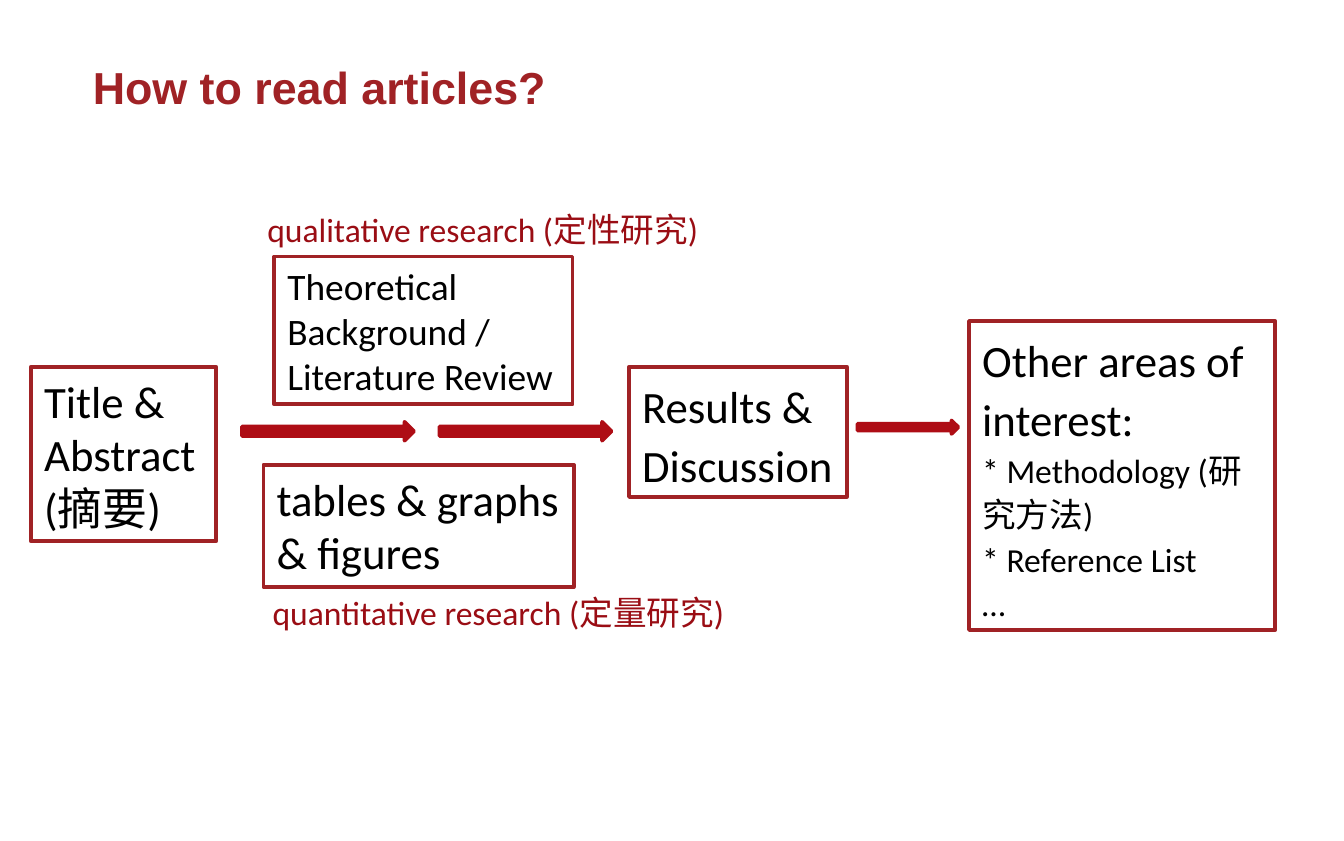
"""Build a slide that shows the order in which to read a research article."""

from dataclasses import dataclass
from typing import Any

from pptx import Presentation
from pptx.dml.color import RGBColor
from pptx.enum.shapes import MSO_SHAPE
from pptx.enum.text import MSO_ANCHOR, MSO_AUTO_SIZE, PP_ALIGN
from pptx.util import Inches, Pt

RECTANGLE = MSO_SHAPE.RECTANGLE
RIGHT_ARROW = MSO_SHAPE.RIGHT_ARROW
TOP, MIDDLE = MSO_ANCHOR.TOP, MSO_ANCHOR.MIDDLE
GROW, FIXED = MSO_AUTO_SIZE.SHAPE_TO_FIT_TEXT, MSO_AUTO_SIZE.NONE
LEFT = PP_ALIGN.LEFT
TITLE_ONLY = 5

BLACK, WHITE = "000000", "FFFFFF"
BORDER_RED, LABEL_RED, ARROW_RED = "A02225", "9A0D14", "AE0D15"

BODY_FRAME = {"word_wrap": True, "auto_size": GROW, "vertical_anchor": TOP}
TITLE_FRAME = {"word_wrap": True, "auto_size": FIXED, "vertical_anchor": MIDDLE}


@dataclass(frozen=True)
class Area:
    left: float
    top: float
    width: float
    height: float

    def lengths(self) -> list[int]:
        return [Inches(n) for n in (self.left, self.top, self.width, self.height)]


@dataclass(frozen=True)
class Line:
    text: str
    size: int


@dataclass(frozen=True)
class Step:
    area: Area
    lines: tuple[Line, ...]
    spacing: float = 1.0


@dataclass(frozen=True)
class Label:
    area: Area
    line: Line


STEPS = (
    Step(Area(0.23, 2.73, 1.38, 1.3), (Line("Title & Abstract (摘要)", 24),)),
    Step(
        Area(2.04, 1.91, 2.22, 1.1),
        (Line("Theoretical Background / Literature Review", 20),),
    ),
    Step(Area(1.96, 3.46, 2.31, 0.91), (Line("tables & graphs & figures", 24),)),
    Step(Area(4.68, 2.73, 1.62, 0.97), (Line("Results & Discussion", 24),), 1.1),
    Step(
        Area(7.21, 2.39, 2.28, 2.3),
        (
            Line("Other areas of interest:", 24),
            Line("* Methodology (研究方法)", 18),
            Line("* Reference List", 18),
            Line("…", 18),
        ),
        1.1,
    ),
)
LABELS = (
    Label(Area(1.89, 1.51, 3.72, 0.4), Line("qualitative research (定性研究)", 18)),
    Label(Area(1.93, 4.36, 3.68, 0.4), Line("quantitative research (定量研究)", 18)),
)
ARROWS = (
    Area(1.8, 3.14, 1.28, 0.14),
    Area(3.27, 3.14, 1.28, 0.14),
    Area(6.38, 3.13, 0.75, 0.1),
)


def color(value: str) -> RGBColor:
    return RGBColor.from_string(value)


def apply(target: Any, values: dict[str, Any]) -> None:
    for name, value in values.items():
        setattr(target, name, value)


def write(
    shape: Any,
    lines: tuple[Line, ...],
    frame_format: dict[str, Any],
    font_format: dict[str, Any],
    font_color: str,
    spacing: float = 1.0,
) -> None:
    frame = shape.text_frame
    apply(frame, frame_format)
    for index, line in enumerate(lines):
        paragraph = frame.add_paragraph() if index else frame.paragraphs[0]
        apply(paragraph, {"alignment": LEFT, "line_spacing": spacing})
        run = paragraph.add_run()
        run.text = line.text
        apply(run.font, {"size": Pt(line.size), **font_format})
        run.font.color.rgb = color(font_color)


def draw_shape(slide: Any, kind: Any, area: Area, fill: str, outline: str) -> Any:
    shape = slide.shapes.add_shape(kind, *area.lengths())
    shape.shadow.inherit = False
    shape.fill.solid()
    shape.fill.fore_color.rgb = color(fill)
    shape.line.color.rgb = color(outline)
    shape.line.width = Pt(2)
    return shape


def draw_step(slide: Any, step: Step) -> None:
    shape = draw_shape(slide, RECTANGLE, step.area, WHITE, BORDER_RED)
    write(shape, step.lines, BODY_FRAME, {"name": "Calibri"}, BLACK, step.spacing)


def draw_label(slide: Any, label: Label) -> None:
    shape = slide.shapes.add_textbox(*label.area.lengths())
    write(shape, (label.line,), BODY_FRAME, {"name": "Calibri"}, LABEL_RED)


def draw_title(slide: Any, area: Area, line: Line) -> None:
    title = slide.shapes.title
    apply(title, dict(zip(("left", "top", "width", "height"), area.lengths())))
    write(title, (line,), TITLE_FRAME, {"name": "Arial", "bold": True}, BORDER_RED)


def main() -> None:
    presentation = Presentation()
    apply(presentation, {"slide_width": Inches(10), "slide_height": Inches(6.26)})
    slide = presentation.slides.add_slide(presentation.slide_layouts[TITLE_ONLY])
    draw_title(slide, Area(0.59, 0.37, 6.54, 0.55), Line("How to read articles?", 24))
    for step in STEPS:
        draw_step(slide, step)
    for label in LABELS:
        draw_label(slide, label)
    for area in ARROWS:
        draw_shape(slide, RIGHT_ARROW, area, ARROW_RED, ARROW_RED)
    presentation.save("out.pptx")


if __name__ == "__main__":
    main()
